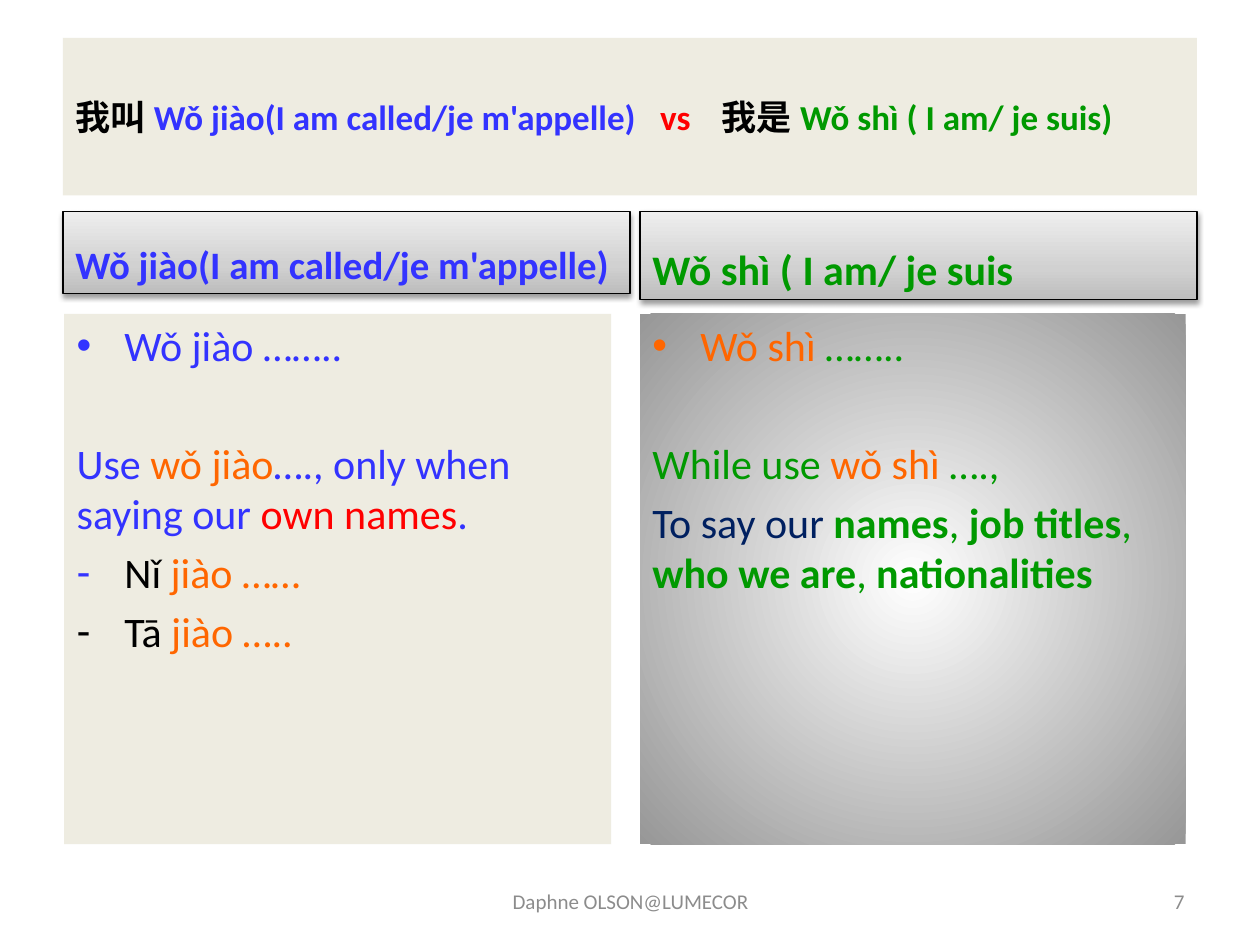
from lxml import etree
from pptx import Presentation
from pptx.dml.color import RGBColor
from pptx.enum import shapes, text
from pptx.oxml import ns, parse_xml
from pptx.util import Inches, Pt

COLORS = {
    "panel": "EEECE1", "black": "000000", "blue": "3333FF", "red": "FF0000",
    "green": "009900", "orange": "FF6600", "navy": "002060", "grey": "8C8C8C",
}
HEADER_STOPS = [(0, "BDBDBD"), (35, "D1D1D1"), (100, "EEEEEE")]
RADIAL_STOPS = [(0, "FFFFFF"), (100, "979797")]
LINEAR = '<a:lin ang="16200000" scaled="1"/>'
RADIAL = '<a:path path="circle"><a:fillToRect l="50000" t="50000" r="50000" b="50000"/></a:path>'
HANGING = Inches(0.38)
BLANK_LINE = 33.5


def add_child(parent, markup):
    """Append drawing markup to an element."""
    root = parse_xml(f'<a:root {ns.nsdecls("a")}>{markup}</a:root>')
    parent.extend(list(root))


def set_gradient(shape, stops, direction):
    """Fill a shape with a gradient of (percent, colour) stops."""
    shape.fill.gradient()
    gradient = shape._element.spPr.find(ns.qn("a:gradFill"))
    for child in list(gradient):
        gradient.remove(child)
    markup = "".join(
        f'<a:gs pos="{percent * 1000}"><a:srgbClr val="{color}"/></a:gs>'
        for percent, color in stops)
    add_child(gradient, f"<a:gsLst>{markup}</a:gsLst>{direction}")


def add_panel(slide, box, anchor):
    """Add a plain rectangle in the panel colour, without line or shadow."""
    shape = slide.shapes.add_shape(
        shapes.MSO_SHAPE.RECTANGLE, *(Inches(length) for length in box))
    shape.shadow.inherit = False
    shape.fill.solid()
    shape.fill.fore_color.rgb = RGBColor.from_string(COLORS["panel"])
    shape.line.fill.background()
    shape.text_frame.word_wrap = True
    shape.text_frame.vertical_anchor = anchor
    return shape


def write_runs(paragraph, runs, size, align=text.PP_ALIGN.LEFT):
    """Write (wording, colour, bold) runs into a paragraph."""
    paragraph.alignment = align
    for wording, color, bold in runs:
        run = paragraph.add_run()
        run.text = wording
        run.font.name = "Calibri"
        run.font.size = Pt(size)
        run.font.bold = bold
        run.font.color.rgb = RGBColor.from_string(COLORS[color])


def add_bullet(paragraph, character, color):
    """Give a paragraph a hanging bullet."""
    properties = paragraph._p.get_or_add_pPr()
    properties.set("marL", str(HANGING))
    properties.set("indent", str(-HANGING))
    add_child(properties, f'<a:buClr><a:srgbClr val="{COLORS[color]}"/></a:buClr>'
                          f'<a:buFont typeface="Arial"/><a:buChar char="{character}"/>')


def add_title(slide, box, runs, tab_stops):
    """Add the title band, its parts set apart by tab stops."""
    shape = add_panel(slide, box, text.MSO_ANCHOR.MIDDLE)
    paragraph = shape.text_frame.paragraphs[0]
    write_runs(paragraph, runs, 20)
    stops = "".join(f'<a:tab pos="{Inches(stop)}" algn="l"/>' for stop in tab_stops)
    add_child(paragraph._p.get_or_add_pPr(), f"<a:tabLst>{stops}</a:tabLst>")


def add_header(slide, box, wording, color, size):
    """Add a shaded column header."""
    shape = add_panel(slide, box, text.MSO_ANCHOR.BOTTOM)
    set_gradient(shape, HEADER_STOPS, LINEAR)
    shape.line.color.rgb = RGBColor.from_string(COLORS["black"])
    shape.line.width = Pt(0.75)
    add_child(shape._element.spPr.find(ns.qn("a:effectLst")),
              f'<a:outerShdw blurRad="{Pt(3.1)}" dist="{Pt(1.6)}" dir="5400000" rotWithShape="0">'
              '<a:srgbClr val="000000"><a:alpha val="38000"/></a:srgbClr></a:outerShdw>')
    write_runs(shape.text_frame.paragraphs[0], [(wording, color, True)], size)


def add_body(slide, box, items):
    """Add a column of (bullet, bullet colour, extra space, runs) paragraphs."""
    shape = add_panel(slide, box, text.MSO_ANCHOR.TOP)
    frame = shape.text_frame
    for index, (bullet, color, extra, runs) in enumerate(items):
        paragraph = frame.add_paragraph() if index else frame.paragraphs[0]
        paragraph.space_before = Pt(4.8 + extra)
        write_runs(paragraph, runs, 24)
        if bullet:
            add_bullet(paragraph, bullet, color)
    return shape


def add_footer(slide, box, wording, align):
    """Add a small grey footer text."""
    frame = slide.shapes.add_textbox(*(Inches(length) for length in box)).text_frame
    frame.word_wrap = True
    frame.vertical_anchor = text.MSO_ANCHOR.MIDDLE
    write_runs(frame.paragraphs[0], [(wording, "grey", False)], 12, align)


def main():
    """Build and save the slide."""
    presentation = Presentation()
    presentation.slide_width, presentation.slide_height = Inches(10), Inches(7.5)
    slide = presentation.slides.add_slide(presentation.slide_layouts[6])

    add_title(slide, (0.5, 0.3, 9, 1.25), [
        ("我叫", "black", True),
        ("Wǒ jiào(I am called/je m'appelle)\t", "blue", True),
        ("vs\t", "red", True),
        ("我是", "black", True),
        ("Wǒ shì ( I am/ je suis)", "green", True),
    ], (4.64, 5.13))

    add_header(slide, (0.5, 1.68, 4.5, 0.65),
               "Wǒ jiào(I am called/je m'appelle)", "blue", 22.2)
    add_body(slide, (0.51, 2.49, 4.34, 4.21), [
        ("•", "blue", 0, [("Wǒ jiào ……..", "blue", False)]),
        (None, None, BLANK_LINE, [
            ("Use ", "blue", False), ("wǒ jiào", "orange", False),
            ("…., only when saying our ", "blue", False),
            ("own names", "red", False), (".", "blue", False)]),
        ("-", "blue", 0, [("Nǐ ", "black", False), ("jiào ……", "orange", False)]),
        ("-", "black", 0, [("Tā ", "black", False), ("jiào …..", "orange", False)]),
    ])

    add_header(slide, (5.08, 1.68, 4.42, 0.7), "Wǒ shì ( I am/ je suis", "green", 24)
    right_body = add_body(slide, (5.08, 2.49, 4.33, 4.21), [
        ("•", "orange", 0, [("Wǒ shì ", "orange", False), ("……..", "green", False)]),
        (None, None, BLANK_LINE, [
            ("While use ", "green", False), ("wǒ shì ", "orange", False),
            ("….,", "green", False)]),
        (None, None, 0, [
            ("To say our ", "navy", False), ("names", "green", True),
            (", ", "green", False), ("job titles", "green", True),
            (", ", "green", False), ("who we are", "green", True),
            (", ", "green", False), ("nationalities", "green", True)]),
    ])
    set_gradient(right_body, RADIAL_STOPS, RADIAL)

    add_footer(slide, (3.42, 6.95, 3.17, 0.4), "Daphne OLSON@LUMECOR", text.PP_ALIGN.CENTER)
    add_footer(slide, (7.17, 6.95, 2.33, 0.4), "7", text.PP_ALIGN.RIGHT)
    presentation.save("out.pptx")


if __name__ == "__main__":
    main()
